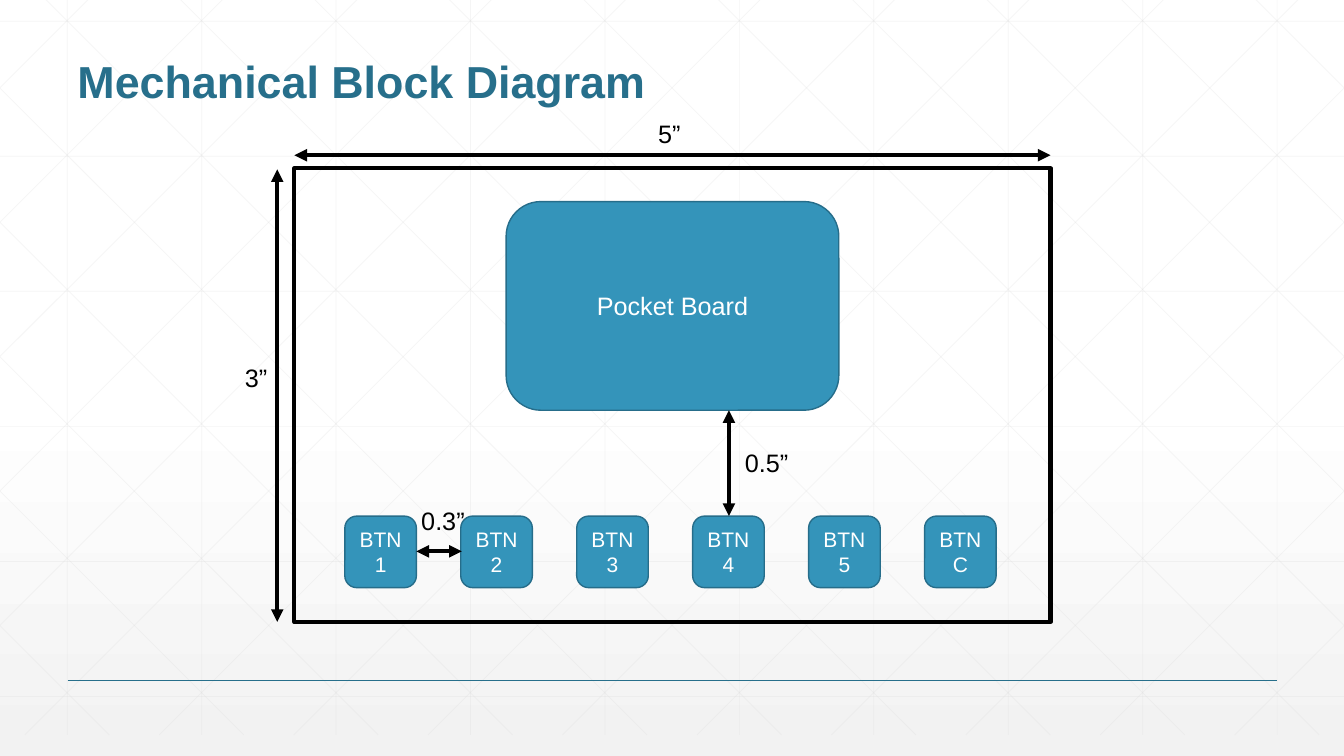
from dataclasses import dataclass

from lxml.etree import SubElement
from pptx import Presentation
from pptx.dml.color import RGBColor
from pptx.enum.shapes import MSO_CONNECTOR, MSO_SHAPE
from pptx.enum.text import MSO_ANCHOR, PP_ALIGN
from pptx.oxml.ns import qn
from pptx.util import Inches, Pt

TITLE = "Mechanical Block Diagram"
BOARD = "Pocket Board"
BUTTONS = ["BTN 1", "BTN 2", "BTN 3", "BTN 4", "BTN 5", "BTN C"]
DIMENSIONS = [
    ("3”", (2.33, 3.55, 0.54, 0.4), (2.75, 1.68), (2.75, 6.17)),
    ("5”", (6.43, 1.12, 0.54, 0.4), (2.92, 1.54), (10.42, 1.54)),
    ("0.3”", (4.08, 4.96, 0.67, 0.4), (4.13, 5.47), (4.58, 5.47)),
    ("0.5”", (7.29, 4.39, 0.67, 0.4), (7.23, 5.12), (7.23, 4.07)),
]

WIDTH, HEIGHT = 13.33, 7.5
GRID_TOP, GRID_BOTTOM = -0.21, 7.29
GRID_PITCH = 4 / 3
ENCLOSURE_BOX = (2.92, 1.67, 7.5, 4.5)
BOARD_BOX = (5.02, 2, 3.3, 2.07)
BUTTON_LEFT, BUTTON_TOP, BUTTON_SIZE, BUTTON_PITCH = 3.42, 5.12, 0.71, 1.15


@dataclass(frozen=True)
class Theme:
    font: str = "Arial"
    title: str = "276F8B"
    block: str = "3494BA"
    block_edge: str = "266D8A"
    ink: str = "000000"
    light: str = "FFFFFF"
    shade: str = "F2F2F2"
    grid: str = "D9D9D9"
    title_size: int = 32
    body_size: int = 18
    button_size: int = 15


theme = Theme()
rgb = RGBColor.from_string
deck = Presentation()
deck.slide_width, deck.slide_height = Inches(WIDTH), Inches(HEIGHT)
slide = deck.slides.add_slide(deck.slide_layouts[6])


def write(text, box=None, shape=None, size=theme.body_size, color=theme.ink,
          bold=False, align=PP_ALIGN.LEFT, anchor=MSO_ANCHOR.TOP, spacing=None):
    holder = shape or slide.shapes.add_textbox(*map(Inches, box))
    frame = holder.text_frame
    frame.word_wrap = True
    frame.vertical_anchor = anchor
    paragraph = frame.paragraphs[0]
    paragraph.alignment = align
    paragraph.line_spacing = spacing
    run = paragraph.add_run()
    run.text = text
    run.font.name = theme.font
    run.font.size = Pt(size)
    run.font.bold = bold
    run.font.color.rgb = rgb(color)


def draw_line(start, end, color, width, opacity=None, arrows=False):
    line = slide.shapes.add_connector(
        MSO_CONNECTOR.STRAIGHT, *map(Inches, (*start, *end)))
    line.line.color.rgb = rgb(color)
    line.line.width = Pt(width)
    properties = line._element.spPr
    outline = properties.find(qn("a:ln"))
    if opacity:
        tint = outline.find(".//" + qn("a:srgbClr"))
        SubElement(tint, qn("a:alpha"), val=str(opacity * 1000))
    if arrows:
        for tip in ("a:headEnd", "a:tailEnd"):
            SubElement(outline, qn(tip), type="triangle")
    SubElement(properties, qn("a:effectLst"))


def draw_block(kind, box, edge, edge_width, fill=None):
    block = slide.shapes.add_shape(kind, *map(Inches, box))
    block.shadow.inherit = False
    block.line.color.rgb = rgb(edge)
    block.line.width = Pt(edge_width)
    if fill:
        block.fill.solid()
        block.fill.fore_color.rgb = rgb(fill)
    else:
        block.fill.background()
    return block


def draw_labeled_block(text, box, size):
    block = draw_block(MSO_SHAPE.ROUNDED_RECTANGLE, box, theme.block_edge, 1, theme.block)
    write(text, shape=block, size=size, color=theme.light,
          align=PP_ALIGN.CENTER, anchor=MSO_ANCHOR.MIDDLE)


def draw_background():
    fill = slide.background.fill
    fill.gradient()
    fill.gradient_angle = 270
    for stop, position, color in zip(
            fill.gradient_stops, (0.53, 1), (theme.light, theme.shade)):
        stop.position = position
        stop.color.rgb = rgb(color)


def grid_lines():
    for column in range(10):
        x = GRID_PITCH * (column + 0.5)
        yield (x, GRID_TOP), (x, GRID_BOTTOM)
    for row in range(6):
        y = 0.21 + 1.34 * row
        yield (0, y), (WIDTH, y)
    for step in range(-5, 10):
        x = 0.25 + GRID_PITCH * step
        skip = max(0, -x)
        reach = min(GRID_BOTTOM - GRID_TOP, WIDTH - x)
        start = (x + skip, GRID_TOP + skip)
        end = (x + reach, GRID_TOP + reach)
        yield start, end
        yield (WIDTH - start[0], start[1]), (WIDTH - end[0], end[1])


def main():
    draw_background()
    for start, end in grid_lines():
        draw_line(start, end, theme.grid, 0.5, opacity=25)
    draw_line((0.67, 6.75), (12.67, 6.75), theme.title, 1)
    write(TITLE, (0.67, 0.25, 12, 0.87), size=theme.title_size, color=theme.title,
          bold=True, anchor=MSO_ANCHOR.BOTTOM, spacing=0.9)
    draw_block(MSO_SHAPE.RECTANGLE, ENCLOSURE_BOX, theme.ink, 3)
    draw_labeled_block(BOARD, BOARD_BOX, theme.body_size)
    for index, button in enumerate(BUTTONS):
        left = BUTTON_LEFT + BUTTON_PITCH * index
        draw_labeled_block(button, (left, BUTTON_TOP, BUTTON_SIZE, BUTTON_SIZE),
                           theme.button_size)
    for length, box, start, end in DIMENSIONS:
        write(length, box)
        draw_line(start, end, theme.ink, 3, arrows=True)
    deck.save("out.pptx")


if __name__ == "__main__":
    main()
